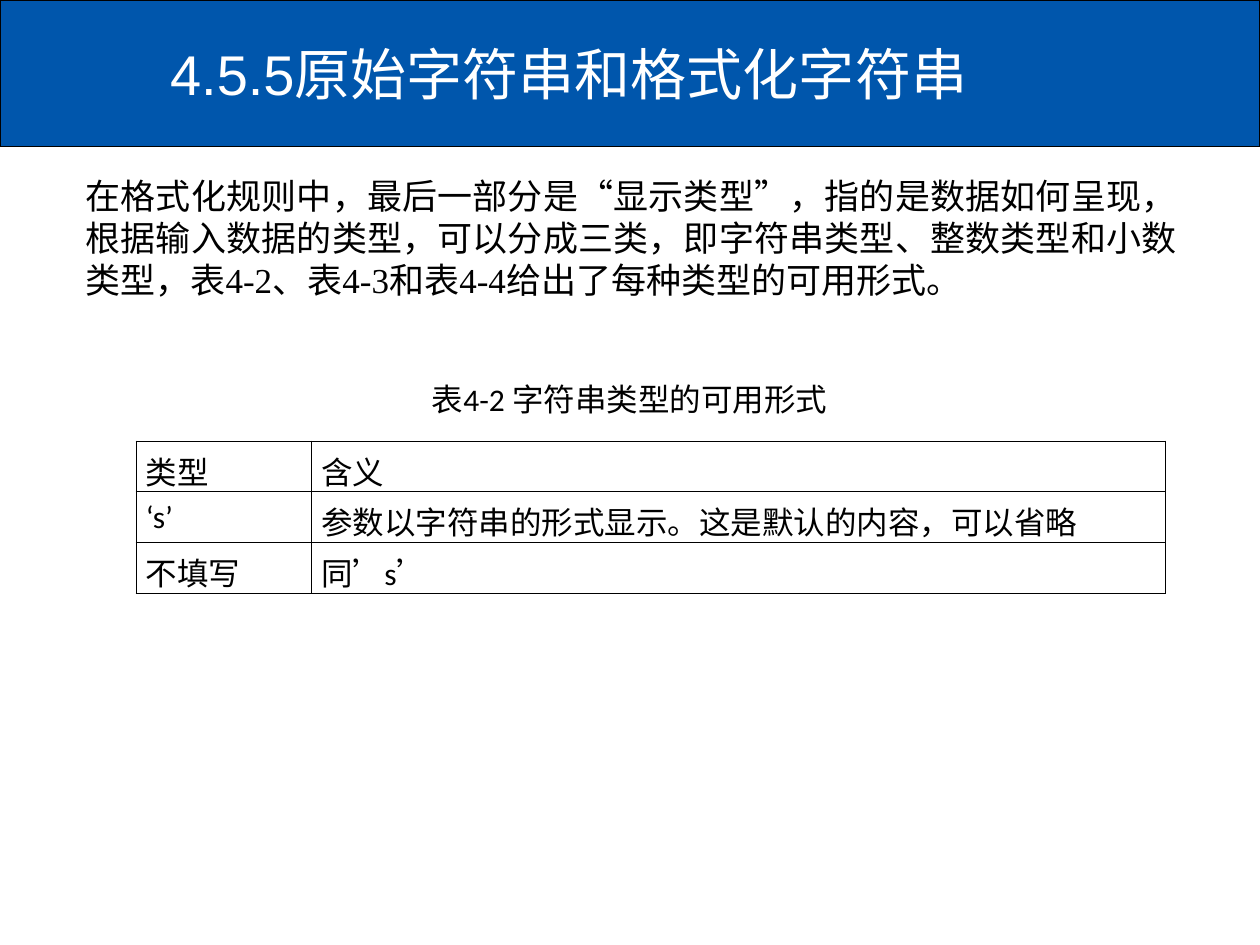
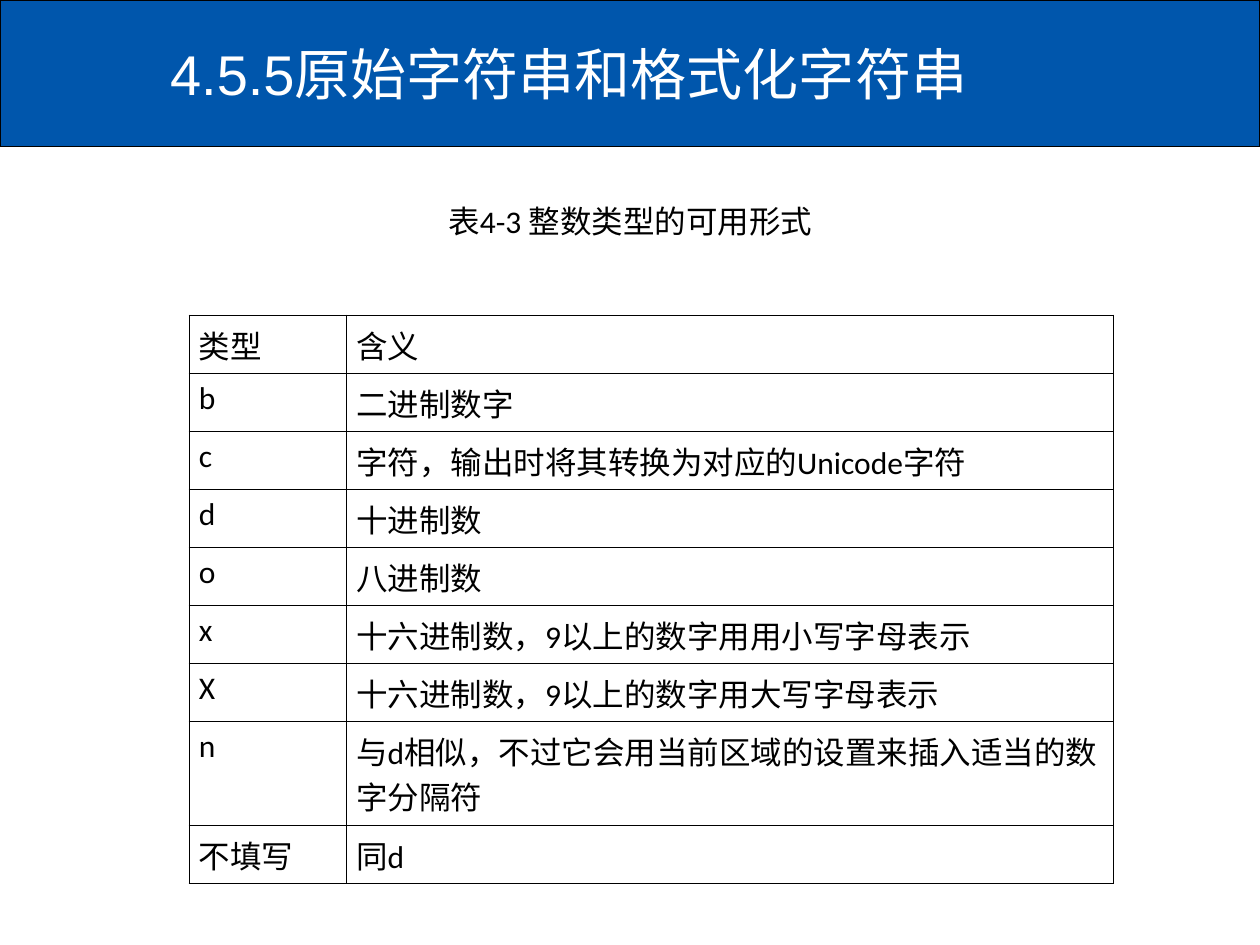
"""Build two slides on string formatting types, each with a ruled table."""
from itertools import cycle

from lxml import etree
from pptx import Presentation
from pptx.dml import color
from pptx.enum import shapes, text
from pptx.oxml import ns
from pptx.util import Cm, Pt

BLUE, BLACK, WHITE = "0056AC", "000000", "FFFFFF"
HAN = "Noto Sans CJK SC"
TITLE = "4.5.5原始字符串和格式化字符串"
BODY = [
    "在格式化规则中，最后一部分是“显示类型”，指的是数据如何呈现，根据输入数据的类型，"
    "可以分成三类，即字符串类型、整数类型和小数类型，表",
    "4-2", "、表", "4-3", "和表", "4-4", "给出了每种类型的可用形式。",
]
PAGES = [
    dict(
        body=BODY, label="表4-2 字符串类型的可用形式", spot=(8.31, 7.54, 8.76, 1.02),
        left=2.74, top=8.89, cols=(3.54, 17.21), high=1.02,
        rows=[
            ("类型", "含义"),
            ("‘s’", "参数以字符串的形式显示。这是默认的内容，可以省略"),
            ("不填写", "同’s’"),
        ],
    ),
    dict(
        body=None, label="表4-3 整数类型的可用形式", spot=(8.64, 3.94, 8.13, 1.02),
        left=3.81, top=6.35, cols=(3.17, 15.46), high=1.17,
        rows=[
            ("类型", "含义"),
            ("b", "二进制数字"),
            ("c", "字符，输出时将其转换为对应的Unicode字符"),
            ("d", "十进制数"),
            ("o", "八进制数"),
            ("x", "十六进制数，9以上的数字用用小写字母表示"),
            ("X", "十六进制数，9以上的数字用大写字母表示"),
            ("n", "与d相似，不过它会用当前区域的设置来插入适当的数字分隔符"),
            ("不填写", "同d"),
        ],
    ),
]


def hue(code):
    return color.RGBColor.from_string(code)


def put(frame, *parts, fonts=("Calibri",), size=18, ink=BLACK, align="LEFT",
        anchor="TOP", wrap=True, pitch=None):
    frame.word_wrap = wrap
    frame.vertical_anchor = text.MSO_ANCHOR[anchor]
    if not wrap:
        frame.auto_size = text.MSO_AUTO_SIZE.SHAPE_TO_FIT_TEXT
    para = frame.paragraphs[0]
    para.alignment = text.PP_ALIGN[align]
    para.line_spacing = pitch
    for part, name in zip(parts, cycle(fonts)):
        run = para.add_run()
        run.text = part
        run.font.size = Pt(size)
        run.font.color.rgb = hue(ink)
        run.font.name = name
        etree.SubElement(run._r.get_or_add_rPr(), ns.qn("a:ea"), typeface=HAN)


deck = Presentation()
deck.slide_width, deck.slide_height = Cm(25.4), Cm(19.05)

for page in PAGES:
    slide = deck.slides.add_slide(deck.slide_layouts[6])
    items = slide.shapes

    band = items.add_shape(shapes.MSO_SHAPE.RECTANGLE, 0, 0, deck.slide_width, Cm(2.96))
    band.shadow.inherit = False
    band.fill.solid()
    band.fill.fore_color.rgb = hue(BLUE)
    band.line.color.rgb = hue(BLACK)
    band.line.width = Pt(0.75)

    head = items.add_textbox(Cm(3.18), Cm(0.2), Cm(22.22), Cm(2.54))
    put(head.text_frame, TITLE, fonts=["Arial"], size=32, ink=WHITE, anchor="MIDDLE")

    if page["body"]:
        body = items.add_textbox(Cm(1.47), Cm(3.4), Cm(22.51), Cm(2.79))
        put(body.text_frame, *page["body"], fonts=[HAN, "Times New Roman"], size=20,
            align="JUSTIFY", pitch=Pt(24))

    rows, cols = page["rows"], page["cols"]
    highs = [2.1 if row[0] == "n" else page["high"] for row in rows]
    grid = items.add_table(len(rows), len(cols), Cm(page["left"]), Cm(page["top"]),
                           Cm(sum(cols)), Cm(sum(highs))).table
    grid.first_row = grid.horz_banding = False
    for col, width in zip(grid.columns, cols):
        col.width = Cm(width)
    for line, row, high in zip(grid.rows, rows, highs):
        line.height = Cm(high)
        for cell, words in zip(line.cells, row):
            cell.margin_left = cell.margin_right = Cm(0.2)
            cell.margin_top = cell.margin_bottom = Cm(0.13)
            cell.fill.background()
            props = cell._tc.get_or_add_tcPr()
            for spot, side in enumerate("LRTB"):
                edge = etree.Element(ns.qn(f"a:ln{side}"), w=str(Pt(0.45)))
                fill = etree.SubElement(edge, ns.qn("a:solidFill"))
                etree.SubElement(fill, ns.qn("a:srgbClr"), val=BLACK)
                props.insert(spot, edge)
            put(cell.text_frame, words)

    label = items.add_textbox(*map(Cm, page["spot"]))
    put(label.text_frame, page["label"], align="CENTER", anchor="MIDDLE", wrap=False)

deck.save("out.pptx")
